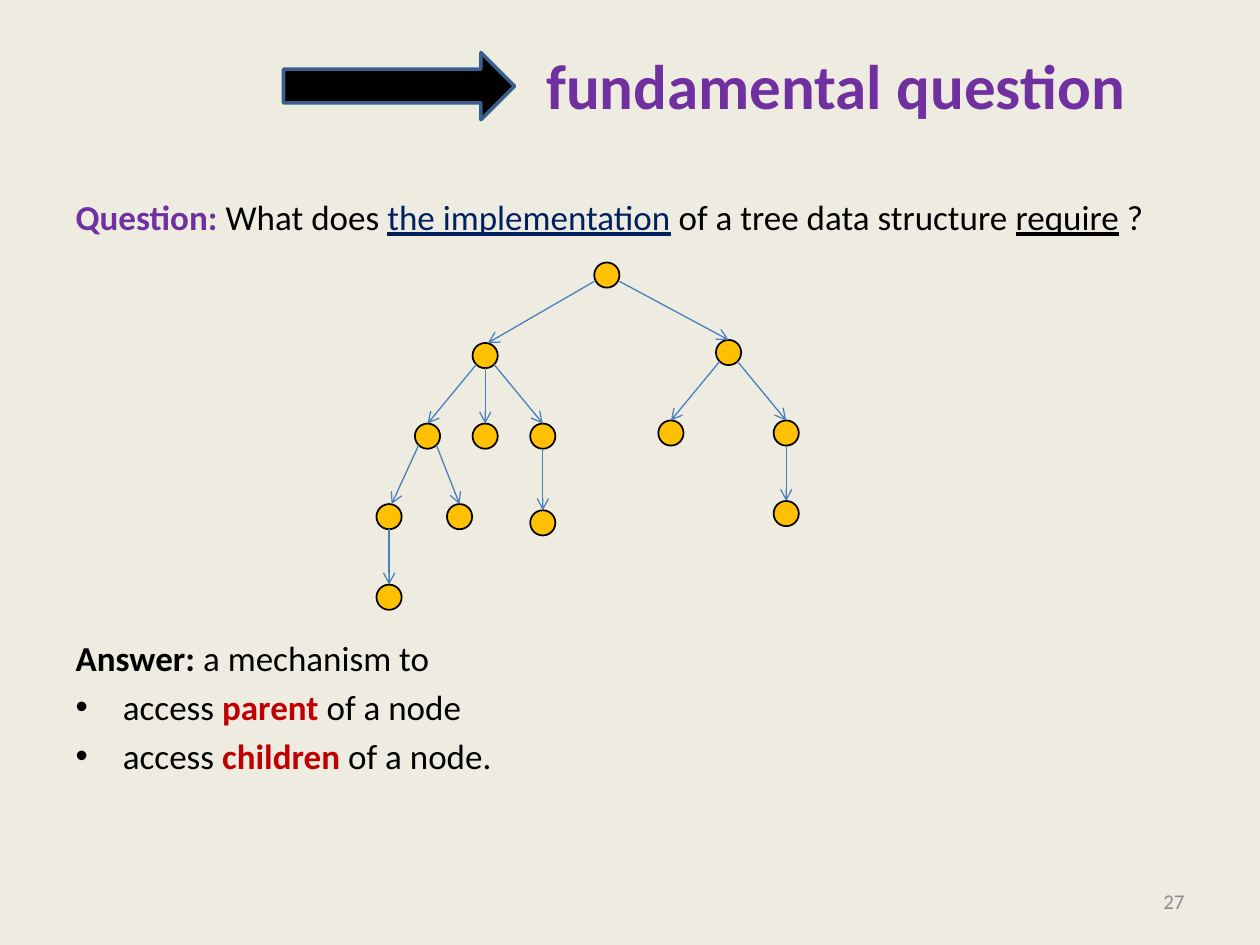
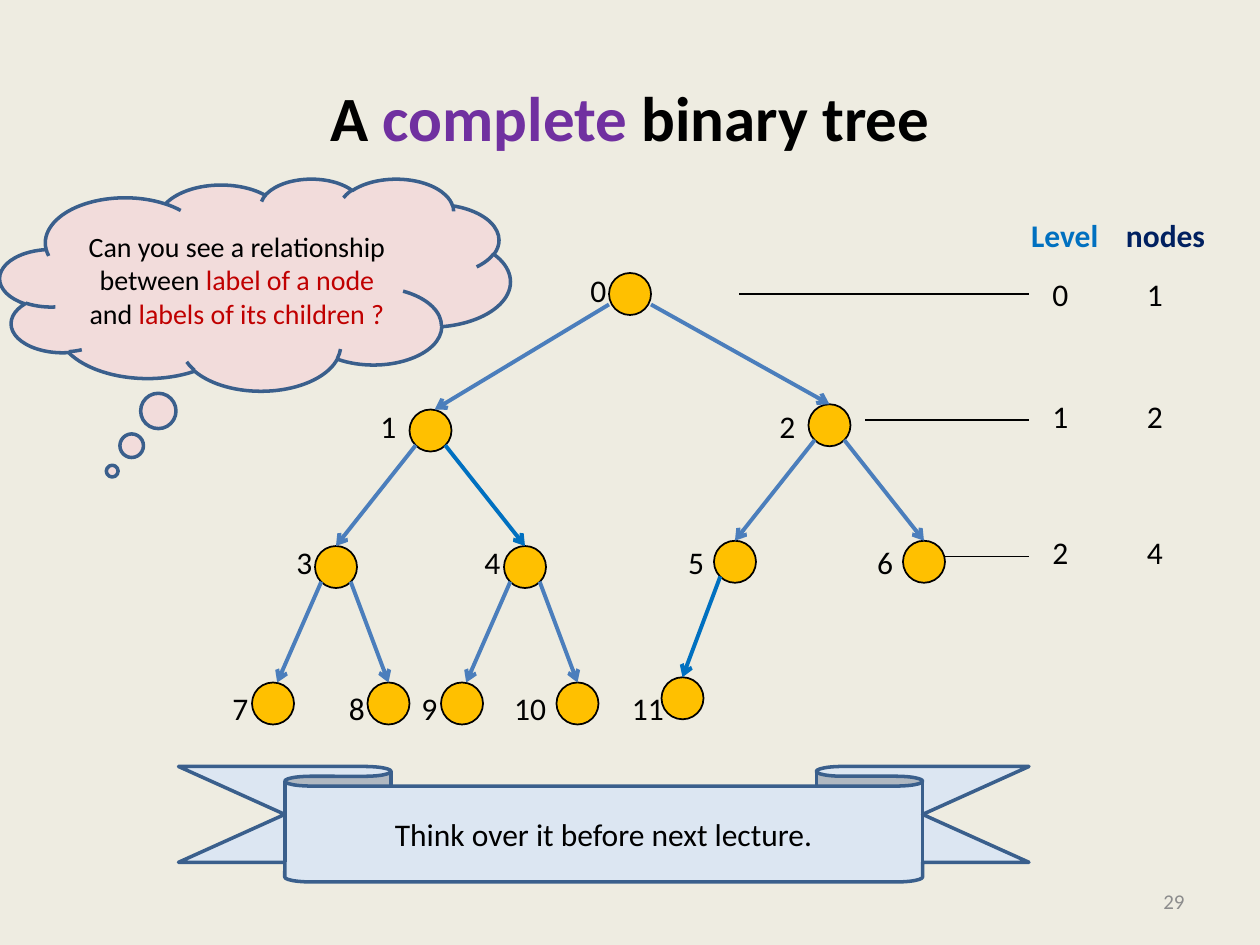
"""Build two slides about tree structures on a shared grid of 120 columns and 90 rows."""
from dataclasses import dataclass
from typing import NamedTuple

import pptx
import pptx.dml.color
import pptx.enum.shapes
import pptx.enum.text
import pptx.oxml.ns
import pptx.util
from lxml import etree

SHAPE = pptx.enum.shapes.MSO_SHAPE
ALIGN = pptx.enum.text.PP_ALIGN
ANCHOR = pptx.enum.text.MSO_ANCHOR
FIT = pptx.enum.text.MSO_AUTO_SIZE
Pt = pptx.util.Pt

COLS, ROWS = 120, 90
FACE = "Calibri"
PAPER, BLACK, GREY = "EEECE1", "000000", "8C8C8C"
PURPLE, NAVY, RED = "7030A0", "002060", "C00000"
GOLD, STEEL, BLUE, EDGE = "FFC000", "4B7EBC", "0070C0", "3A5F8C"
PINK, PALE = "F2DCDB", "DCE6F2"


class Run(NamedTuple):
    text: str
    hue: str = BLACK
    bold: bool = False
    line: bool = False


class Box(NamedTuple):
    x: float
    y: float
    w: float
    h: float


@dataclass
class Node:
    key: int
    x: float
    y: float
    root: int = 0
    lean: float = 0
    gap: float = 0
    hue: str = STEEL


@dataclass
class Tree:
    x: float
    y: float
    wide: float
    tall: float
    size: float
    line: float

    def spot(self, node: Node) -> tuple[float, float]:
        return self.x + node.x * self.wide, self.y + node.y * self.tall


@dataclass
class Level:
    start: float
    row: float
    top: float


NODES = [
    Node(0, 0, 0, gap=3),
    Node(1, -19, 13, 0, 0.1, gap=4),
    Node(2, 19, 12.5, 0, gap=4),
    Node(3, -28, 26, 1, gap=3),
    Node(4, -10, 26, 1, gap=3.1, hue=BLUE),
    Node(5, 10, 25.5, 2, gap=3.7),
    Node(6, 28, 25.5, 2, gap=3.7),
    Node(7, -34, 39, 3, 0.1, gap=3.1),
    Node(8, -23, 39, 3, gap=3),
    Node(9, -16, 39, 4, 0.1, gap=3.1),
    Node(10, -5, 39, 4, gap=4.5),
    Node(11, 5, 38.5, 5, gap=3.3, hue=BLUE),
]
EXTRA = [Node(12, -19, 26, 1), Node(13, -10, 40, 4), Node(14, -34, 52, 7), Node(15, 28, 38.5, 6)]
TAGS = [25.2, 38.2, 51.1, 65]
LEVELS = [Level(70.4, 28, 25.6), Level(82.4, 40, 37.2), Level(90, 53, 50.2)]

deck = pptx.Presentation()
deck.slide_width, deck.slide_height = pptx.util.Inches(10), pptx.util.Inches(7.5)


def col(n: float) -> int:
    return round(n * deck.slide_width / COLS)


def row(n: float) -> int:
    return round(n * deck.slide_height / ROWS)


def frame(box: Box) -> tuple[int, int, int, int]:
    return col(box.x), row(box.y), col(box.w), row(box.h)


def tint(hue: str) -> pptx.dml.color.RGBColor:
    return pptx.dml.color.RGBColor.from_string(hue)


def place(shape, box: Box) -> None:
    shape.left, shape.top, shape.width, shape.height = frame(box)


def write(para, runs: list[Run], size: float, align=None) -> None:
    """Fill a paragraph, keeping on it every font trait its runs agree on."""
    para.alignment = align
    para.font.name, para.font.size = FACE, Pt(size)
    hues, bolds = {r.hue for r in runs}, {r.bold for r in runs}
    if len(hues) == 1:
        para.font.color.rgb = tint(runs[0].hue)
    if len(bolds) == 1:
        para.font.bold = runs[0].bold
    for item in runs:
        run = para.add_run()
        run.text = item.text
        if len(hues) > 1:
            run.font.color.rgb = tint(item.hue)
        if len(bolds) > 1:
            run.font.bold = item.bold
        if item.line:
            run.font.underline = True


def label(slide, box: Box, run: Run, size: float = 18, align=ALIGN.CENTER) -> None:
    text = slide.shapes.add_textbox(*frame(box)).text_frame
    text.word_wrap = False
    text.vertical_anchor = ANCHOR.MIDDLE
    write(text.paragraphs[0], [run], size, align)


def draw(slide, kind, box: Box, fill: str, edge: str = EDGE, line: float = 2):
    shape = slide.shapes.add_shape(kind, *frame(box))
    shape.shadow.inherit = False
    shape.fill.solid()
    shape.fill.fore_color.rgb = tint(fill)
    shape.line.color.rgb = tint(edge)
    shape.line.width = Pt(line)
    return shape


def note(slide, kind, box: Box, fill: str, bends: list[float], runs: list[Run], size: float) -> None:
    shape = draw(slide, kind, box, fill)
    for i, bend in enumerate(bends):
        shape.adjustments[i] = bend
    shape.text_frame.word_wrap = True
    shape.text_frame.vertical_anchor = ANCHOR.MIDDLE
    write(shape.text_frame.paragraphs[0], runs, size, ALIGN.CENTER)


def link(slide, x: float, y: float, x2: float, y2: float, hue: str, line: float, head: bool = False) -> None:
    kind = pptx.enum.shapes.MSO_CONNECTOR.STRAIGHT
    wire = slide.shapes.add_connector(kind, col(x), row(y), col(x2), row(y2))
    wire.line.color.rgb = tint(hue)
    wire.line.width = Pt(line)
    if head:
        tip = etree.SubElement(wire.line._get_or_add_ln(), pptx.oxml.ns.qn("a:tailEnd"))
        tip.set("type", "arrow")
    etree.SubElement(wire._element.spPr, pptx.oxml.ns.qn("a:effectLst"))


def grow(slide, tree: Tree, nodes: list[Node], mixed: bool) -> None:
    """Draw the nodes, each with an arrow from its parent."""
    known = {n.key: n for n in nodes}
    for node in nodes:
        x, y = tree.spot(node)
        half = tree.size / 2
        draw(slide, SHAPE.OVAL, Box(x - half, y - half, tree.size, tree.size), GOLD, BLACK, 1)
        if node.key == 0:
            continue
        top = known[node.root]
        px, py = tree.spot(top)
        side = (node.x > top.x) - (node.x < top.x)
        out, down = (0, 0.5) if side == 0 else (0.5, 0.25) if top.key == 0 else (0.35, 0.35)
        link(slide, px + side * out * tree.size, py + down * tree.size,
             x + node.lean * tree.size, y - half, node.hue if mixed else STEEL, tree.line, True)


def start(layout: int, page: str, box: Box, runs: list[Run]):
    slide = deck.slides.add_slide(deck.slide_layouts[layout])
    place(slide.shapes.title, box)
    text = slide.shapes.title.text_frame
    text.auto_size = FIT.NONE
    text.vertical_anchor = ANCHOR.MIDDLE
    write(text.paragraphs[0], runs, 36, ALIGN.CENTER)
    label(slide, Box(86, 83.4, 28, 4.8), Run(page, GREY), 12, ALIGN.RIGHT)
    return slide


def ask() -> None:
    slide = start(1, "27", Box(50, 3.6, 59.2, 8.8), [Run("fundamental question", PURPLE, True)])
    body = slide.placeholders[1]
    place(body, Box(6, 18, 108, 62.4))
    text = body.text_frame
    text.auto_size = FIT.NONE
    lines = [
        [Run("Question: ", PURPLE, True), Run("What does "), Run("the implementation", NAVY, line=True),
         Run(" of a tree data structure "), Run("require", line=True), Run(" ?")],
        [Run("Answer: ", bold=True), Run("a mechanism to")],
        [Run("access "), Run("parent ", RED, True), Run("of a node")],
        [Run("access "), Run("children", RED, True), Run(" of a node.")],
    ]
    for i, runs in enumerate(lines):
        para = text.paragraphs[0] if i == 0 else text.add_paragraph()
        if i < 2:
            props = para._p.get_or_add_pPr()
            props.set("marL", "0")
            props.set("indent", "0")
            etree.SubElement(props, pptx.oxml.ns.qn("a:buNone"))
            para.space_before = Pt(228 * i)
        write(para, runs, 20)
    draw(slide, SHAPE.RIGHT_ARROW, Box(27, 5, 22, 6.4), BLACK)
    grow(slide, Tree(57.8, 26.2, 0.61, 0.59, 2.4, 0.75), NODES[:9] + EXTRA, False)


def show() -> None:
    slide = start(5, "29", Box(6, 3.6, 108, 15),
                  [Run("A", bold=True), Run(" complete ", PURPLE, True), Run("binary tree", bold=True)])
    tree = Tree(60, 28, 1, 1, 4, 2.25)
    grow(slide, tree, NODES, True)
    for node in NODES:
        x = tree.spot(node)[0] - node.gap
        label(slide, Box(x - 3, TAGS[(node.key + 1).bit_length() - 1], 6, 4.8), Run(str(node.key)))
    label(slide, Box(96.4, 20, 10, 4.8), Run("Level", BLUE, True))
    label(slide, Box(106, 20, 10, 4.8), Run("nodes", NAVY, True))
    for i, level in enumerate(LEVELS):
        link(slide, level.start, level.row, 98, level.row, BLACK, 0.75)
        for x, text in ((101, i), (110, 2 ** i)):
            label(slide, Box(x - 3, level.top, 6, 4.8), Run(str(text)))
    note(slide, SHAPE.CLOUD_CALLOUT, Box(0, 17, 48.6, 20.2), PINK, [-0.28, 0.88],
         [Run("Can you see a relationship between "), Run("label of a node ", RED),
          Run("and "), Run("labels of its children ?", RED)], 16)
    note(slide, SHAPE.DOWN_RIBBON, Box(17, 73, 81, 11), PALE, [0.17, 0.75],
         [Run("Think over it before next lecture.")], 18)


def main() -> None:
    back = deck.slide_master.background.fill
    back.solid()
    back.fore_color.rgb = tint(PAPER)
    ask()
    show()
    deck.save("out.pptx")


if __name__ == "__main__":
    main()
